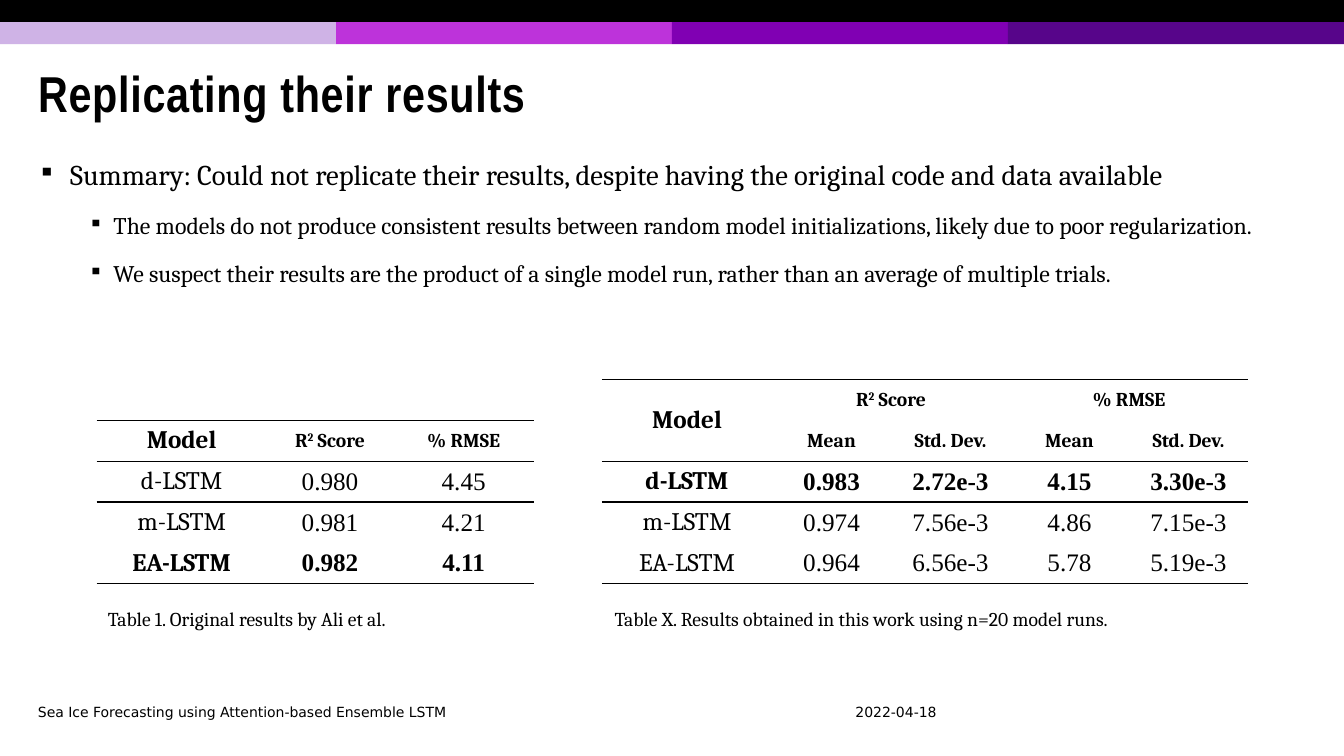
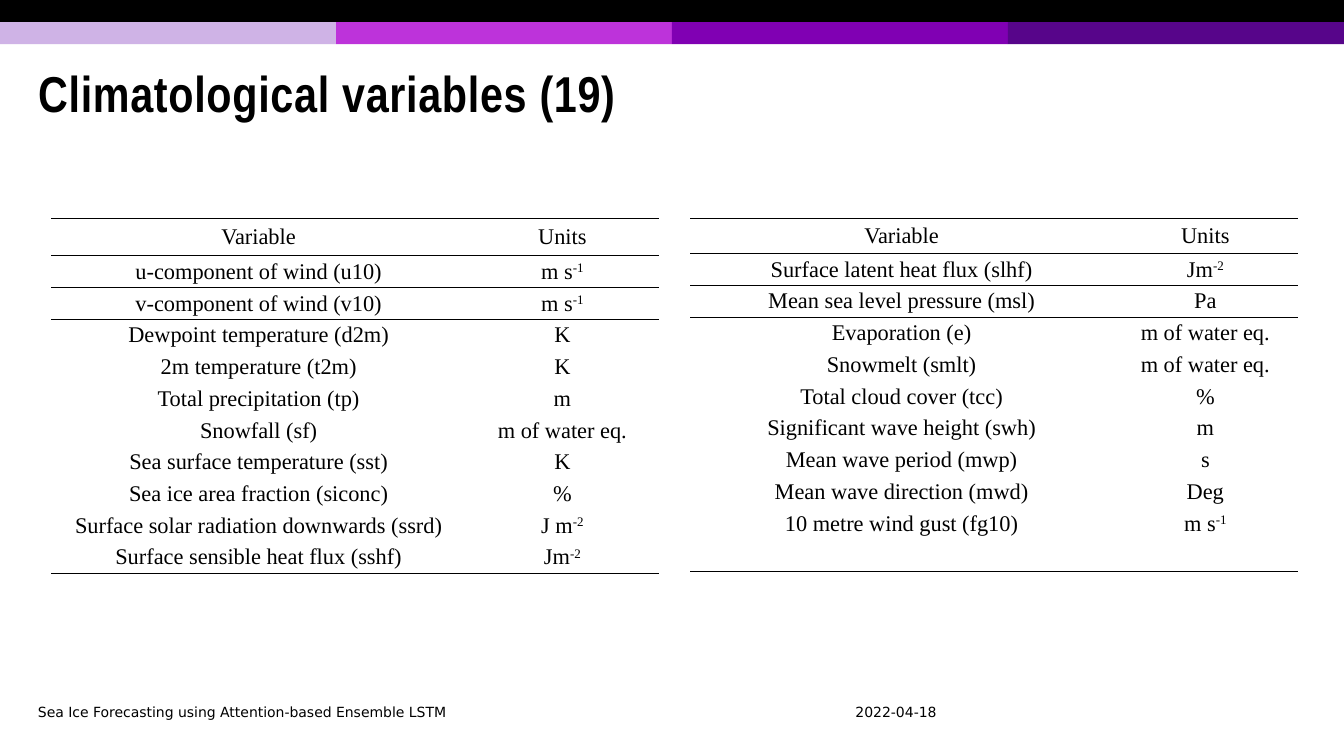
from dataclasses import dataclass

from lxml import etree
from pptx import Presentation
from pptx.dml.color import RGBColor
from pptx.enum.shapes import MSO_SHAPE
from pptx.enum.text import MSO_ANCHOR, MSO_AUTO_SIZE, PP_ALIGN
from pptx.oxml.ns import qn
from pptx.util import Pt

RECT = MSO_SHAPE.RECTANGLE
LEFT, CENTER = PP_ALIGN.LEFT, PP_ALIGN.CENTER
TOP, MIDDLE = MSO_ANCHOR.TOP, MSO_ANCHOR.MIDDLE
NO_FIT = MSO_AUTO_SIZE.NONE
NO_GRID = "{2D5ABB26-0587-4C30-8999-92F81FD0307C}"


@dataclass(frozen=True)
class Theme:
    ink: str = "000000"
    bands: tuple = ("CFB3E6", "BD33DA", "8000B3", "57058A")
    title_font: str = "Arial Narrow"
    body_font: str = "Cambria"
    number_font: str = "Times New Roman"
    footer_font: str = "DejaVu Sans"
    title: float = 36
    bullets: tuple = (20.4, 17)
    cell: float = 18
    head: float = 14
    variable: float = 16
    caption: float = 14
    footer: float = 10


THEME = Theme()
WIDTH, HEIGHT = 960, 540
MARGIN, CONTENT_W = 20, 911
BAND_H = 15.75
FOOTER_Y, FOOTER_H = 499, 19.5


def write(p, text, *, size, font, bold=False, color=THEME.ink, align=LEFT,
          line=None, space=None, tracking=None):
    """Fill a paragraph; text between two ^ signs is superscript."""
    p.alignment = align
    if line:
        p.line_spacing = line
    if space is not None:
        p.space_before = p.space_after = Pt(space)
    for i, part in enumerate(text.split("^")):
        if i and not part:
            continue
        r = p.add_run()
        r.text = part
        r.font.size, r.font.name, r.font.bold = Pt(size), font, bold
        r.font.color.rgb = RGBColor.from_string(color)
        if i % 2:
            r.font._element.set("baseline", "30000")
        if tracking:
            r.font._element.set("spc", str(int(tracking * 100)))


def add_color(parent, color):
    etree.SubElement(parent, qn("a:srgbClr"), val=color)


def set_bullet(p, left, hang, color):
    pPr = p._p.get_or_add_pPr()
    pPr.set("marL", str(Pt(left)))
    pPr.set("indent", str(-Pt(hang)))
    add_color(etree.SubElement(pPr, qn("a:buClr")), color)
    etree.SubElement(pPr, qn("a:buSzPct"), val="85000")
    etree.SubElement(pPr, qn("a:buChar"), char="▪")


def set_rule(cell, side, color):
    tcPr = cell._tc.get_or_add_tcPr()
    ln = etree.SubElement(tcPr, qn(f"a:{side}"), w=str(Pt(1)))
    add_color(etree.SubElement(ln, qn("a:solidFill")), color)


class Deck:
    def __init__(self, theme):
        self.theme = theme
        self.prs = Presentation()
        self.prs.slide_width, self.prs.slide_height = Pt(WIDTH), Pt(HEIGHT)
        self.slide = None

    def add_slide(self, title):
        t = self.theme
        self.slide = self.prs.slides.add_slide(self.prs.slide_layouts[5])
        # Bands
        band_w = WIDTH / len(t.bands)
        for i, color in enumerate(t.bands):
            self.rect(i * band_w, BAND_H, band_w, BAND_H, color)
        self.rect(0, 0, WIDTH, BAND_H, t.ink)
        # Title
        sp = self.slide.shapes.title
        sp.left, sp.top, sp.width, sp.height = map(Pt, (MARGIN, 34, CONTENT_W, 70.5))
        tf = sp.text_frame
        tf.auto_size, tf.vertical_anchor = NO_FIT, MIDDLE
        write(tf.paragraphs[0], title, size=t.title, font=t.title_font,
              bold=True, line=0.85, tracking=0.5)
        # Footer
        style = dict(size=t.footer, font=t.footer_font)
        self.text("Sea Ice Forecasting using Attention-based Ensemble LSTM",
                  MARGIN, FOOTER_Y, 412, FOOTER_H, anchor=MIDDLE, **style)
        self.text("2022-04-18", 593.5, FOOTER_Y, 93, FOOTER_H,
                  anchor=MIDDLE, align=CENTER, **style)

    def rect(self, x, y, w, h, color):
        sp = self.slide.shapes.add_shape(RECT, Pt(x), Pt(y), Pt(w), Pt(h))
        sp.shadow.inherit = False
        sp.fill.solid()
        sp.fill.fore_color.rgb = RGBColor.from_string(color)
        sp.line.fill.background()

    def frame(self, x, y, w, h, anchor=TOP):
        tf = self.slide.shapes.add_textbox(Pt(x), Pt(y), Pt(w), Pt(h)).text_frame
        tf.word_wrap, tf.auto_size, tf.vertical_anchor = True, NO_FIT, anchor
        return tf

    def text(self, text, x, y, w, h, anchor=TOP, **style):
        write(self.frame(x, y, w, h, anchor).paragraphs[0], text, **style)

    def caption(self, text, x, w):
        self.text(text, x, 430, w, 24.5, size=self.theme.caption,
                  font=self.theme.body_font)

    def bullets(self, items, x, y, w, h):
        t = self.theme
        tf = self.frame(x, y, w, h)
        for i, (level, text) in enumerate(items):
            p = tf.add_paragraph() if i else tf.paragraphs[0]
            p.level = level
            write(p, text, size=t.bullets[level], font=t.body_font,
                  line=0.9, space=8)
            left, hang = ((23, 23), (54, 18))[level]
            set_bullet(p, left, hang, t.ink)

    def table(self, rows, x, y, cols, heights, rules, style, merges=(), tight=False):
        """rules lists the row edges with a line; style(row, col) gives the format."""
        gf = self.slide.shapes.add_table(len(rows), len(cols), Pt(x), Pt(y),
                                         Pt(sum(cols)), Pt(sum(heights)))
        tbl = gf.table
        tbl.first_row = tbl.horz_banding = False
        tbl._tbl.tblPr.find(qn("a:tableStyleId")).text = NO_GRID
        for col, w in zip(tbl.columns, cols):
            col.width = Pt(w)
        for row, h in zip(tbl.rows, heights):
            row.height = Pt(h)
        for first, last in merges:
            tbl.cell(*first).merge(tbl.cell(*last))
        for r, row in enumerate(rows):
            for c, text in enumerate(row):
                cell = tbl.cell(r, c)
                cell.vertical_anchor = MIDDLE
                if tight and r:
                    cell.margin_top = cell.margin_bottom = 0
                for side, edge in (("lnT", r), ("lnB", r + 1)):
                    if edge in rules:
                        set_rule(cell, side, self.theme.ink)
                cell.fill.background()
                if not cell.is_spanned:
                    write(cell.text_frame.paragraphs[0], text, align=CENTER,
                          **style(r, c))

    def results(self, rows, x, cols, heads, best, merges=()):
        """Model scores, with a number of head rows and one row in bold."""
        t, row_h, bottom = self.theme, 29.2, 417

        def style(r, c):
            number = r >= heads and c > 0
            return dict(size=t.head if r < heads and c else t.cell,
                        font=t.number_font if number else t.body_font,
                        bold=r < heads or r == best)

        n = len(rows)
        self.table(rows, x, bottom - n * row_h, cols, [row_h] * n,
                   {0, heads, n}, style, merges)

    def variables(self, rows, x, cols, head_h):
        t = self.theme
        rows = [("Variable", "Units"), *rows]
        n = len(rows)
        self.table(rows, x, 156.25, cols, [head_h] + [22.7] * (n - 1), {0, 1, 2, n},
                   lambda r, c: dict(size=t.variable, font=t.number_font), tight=True)


SUMMARY = [
    (0, "Summary: Could not replicate their results, despite having the original "
        "code and data available"),
    (1, "The models do not produce consistent results between random model "
        "initializations, likely due to poor regularization."),
    (1, "We suspect their results are the product of a single model run, rather "
        "than an average of multiple trials."),
]
ORIGINAL_SCORES = [
    ("Model", "R^2^ Score", "% RMSE"),
    ("d-LSTM", "0.980", "4.45"),
    ("m-LSTM", "0.981", "4.21"),
    ("EA-LSTM", "0.982", "4.11"),
]
OWN_SCORES = [
    ("Model", "R^2^ Score", "", "% RMSE", ""),
    ("", "Mean", "Std. Dev.", "Mean", "Std. Dev."),
    ("d-LSTM", "0.983", "2.72e-3", "4.15", "3.30e-3"),
    ("m-LSTM", "0.974", "7.56e-3", "4.86", "7.15e-3"),
    ("EA-LSTM", "0.964", "6.56e-3", "5.78", "5.19e-3"),
]
OWN_MERGES = [((0, 0), (1, 0)), ((0, 1), (0, 2)), ((0, 3), (0, 4))]
VARIABLES_LEFT = [
    ("u-component of wind (u10)", "m s^-1^"),
    ("v-component of wind (v10)", "m s^-1^"),
    ("Dewpoint temperature (d2m)", "K"),
    ("2m temperature (t2m)", "K"),
    ("Total precipitation (tp)", "m"),
    ("Snowfall (sf)", "m of water eq."),
    ("Sea surface temperature (sst)", "K"),
    ("Sea ice area fraction (siconc)", "%"),
    ("Surface solar radiation downwards (ssrd)", "J m^-2^"),
    ("Surface sensible heat flux (sshf)", "Jm^-2^"),
]
VARIABLES_RIGHT = [
    ("Surface latent heat flux (slhf)", "Jm^-2^"),
    ("Mean sea level pressure (msl)", "Pa"),
    ("Evaporation (e)", "m of water eq."),
    ("Snowmelt (smlt)", "m of water eq."),
    ("Total cloud cover (tcc)", "%"),
    ("Significant wave height (swh)", "m"),
    ("Mean wave period (mwp)", "s"),
    ("Mean wave direction (mwd)", "Deg"),
    ("10 metre wind gust (fg10)", "m s^-1^"),
    ("", ""),
]


def main():
    deck = Deck(THEME)

    # Replication results
    deck.add_slide("Replicating their results")
    deck.bullets(SUMMARY, MARGIN, 111.5, CONTENT_W, 150.5)
    deck.results(ORIGINAL_SCORES, 69, (121.5, 90.5, 100.5), heads=1, best=3)
    deck.results(OWN_SCORES, 430, (121.5, 85, 85, 85, 85), heads=2, best=2,
                 merges=OWN_MERGES)
    deck.caption("Table 1. Original results by Ali et al.", 70, 312.5)
    deck.caption("Table X. Results obtained in this work using n=20 model runs.",
                 432, 461.5)

    # Climatological variables
    deck.add_slide("Climatological variables (19)")
    deck.variables(VARIABLES_LEFT, 36.5, (296.5, 137.5), head_h=26.5)
    deck.variables(VARIABLES_RIGHT, 493, (302, 132), head_h=25)

    deck.prs.save("out.pptx")


if __name__ == "__main__":
    main()
